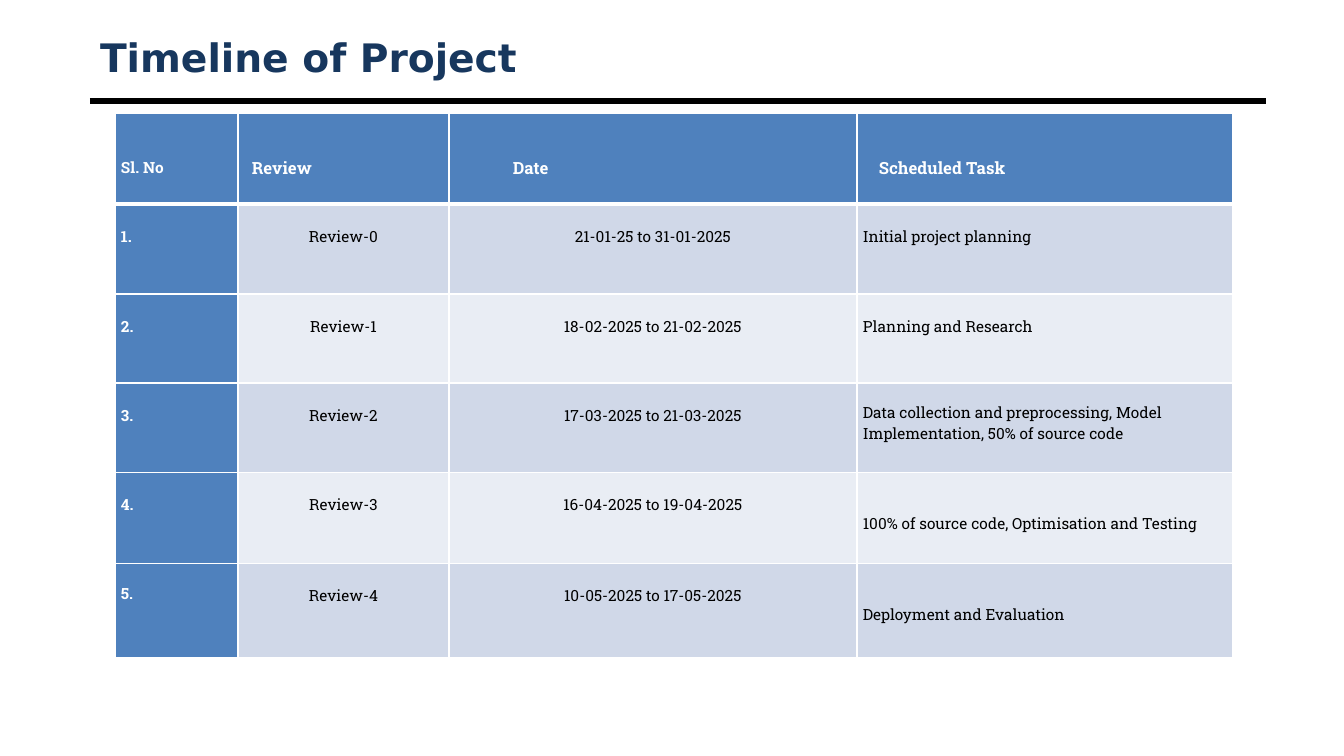
"""Build the project timeline slide with its review schedule table."""
from dataclasses import dataclass

from lxml import etree
from pptx import Presentation
from pptx.dml.color import RGBColor
from pptx.enum.shapes import MSO_CONNECTOR
from pptx.enum.text import MSO_ANCHOR, PP_ALIGN
from pptx.oxml.ns import qn
from pptx.util import Emu, Pt

LEFT, CENTER = PP_ALIGN.LEFT, PP_ALIGN.CENTER
TOP, MIDDLE = MSO_ANCHOR.TOP, MSO_ANCHOR.MIDDLE
STRAIGHT = MSO_CONNECTOR.STRAIGHT
EMU_PER_PX = 914400 / 100.8
TITLE_ONLY = 5
COLORS = {
    "title": "17375E",
    "rule": "000000",
    "text": "000000",
    "head": "4F81BD",
    "odd": "D0D8E8",
    "even": "E9EDF4",
    "white": "FFFFFF",
}
COLUMN_WIDTHS = (123, 211, 408, 376)
ROW_HEIGHTS = (91, 90, 89, 90, 91, 94)
INSET = 6
HEAD_DROP = 44
BODY_DROP = 22


@dataclass(frozen=True)
class Heading:
    text: str
    left: int = INSET
    size: int = 12


@dataclass(frozen=True)
class Review:
    dates: str
    task: str
    task_drop: int = BODY_DROP
    number_drop: int = BODY_DROP


@dataclass(frozen=True)
class CellStyle:
    fill: str
    color: str = "text"
    bold: bool = False
    size: int = 11
    align: PP_ALIGN = LEFT
    left: int = INSET
    drop: int = BODY_DROP
    top_line: int = 1
    bottom_line: int = 1


HEADINGS = (
    Heading("Sl. No", size=11),
    Heading("Review", left=14),
    Heading("Date", left=64),
    Heading("Scheduled Task", left=22),
)
REVIEWS = (
    Review("21-01-25 to 31-01-2025", "Initial project planning"),
    Review("18-02-2025 to 21-02-2025", "Planning and Research"),
    Review(
        "17-03-2025 to 21-03-2025",
        "Data collection and preprocessing, Model Implementation, 50% of source code",
        task_drop=20,
    ),
    Review(
        "16-04-2025 to 19-04-2025",
        "100% of source code, Optimisation and Testing",
        task_drop=41,
    ),
    Review(
        "10-05-2025 to 17-05-2025",
        "Deployment and Evaluation",
        task_drop=41,
        number_drop=20,
    ),
)


def px(length: int) -> Emu:
    """Turn a length in px into EMU."""
    return Emu(round(length * EMU_PER_PX))


def rgb(name: str) -> RGBColor:
    """Look up a named colour."""
    return RGBColor.from_string(COLORS[name])


def format_text(frame, font: str, size: int, color: str, bold: bool, align: PP_ALIGN) -> None:
    """Format every run of a text frame."""
    for para in frame.paragraphs:
        para.alignment = align
        for span in para.runs:
            span.font.name = font
            span.font.size = Pt(size)
            span.font.bold = bold
            span.font.color.rgb = rgb(color)


def add_borders(cell, top: int, bottom: int) -> None:
    """Give a cell white borders with the stated top and bottom widths."""
    properties = cell._tc.get_or_add_tcPr()
    sides = (("a:lnL", 1), ("a:lnR", 1), ("a:lnT", top), ("a:lnB", bottom))
    for position, (tag, width) in enumerate(sides):
        line = etree.Element(qn(tag), w=str(Pt(width)))
        fill = etree.SubElement(line, qn("a:solidFill"))
        etree.SubElement(fill, qn("a:srgbClr"), val=COLORS["white"])
        properties.insert(position, line)


def write_cell(cell, text: str, style: CellStyle) -> None:
    """Fill one table cell with styled text."""
    cell.text_frame.text = text
    format_text(cell.text_frame, "Roboto Slab", style.size, style.color, style.bold, style.align)
    cell.vertical_anchor = TOP
    cell.margin_left, cell.margin_right = px(style.left), px(INSET)
    cell.margin_top, cell.margin_bottom = px(style.drop), 0
    cell.fill.solid()
    cell.fill.fore_color.rgb = rgb(style.fill)
    add_borders(cell, style.top_line, style.bottom_line)


def add_title(page) -> None:
    """Place the title and the rule beneath it."""
    rule = page.shapes.add_connector(STRAIGHT, px(90), px(101), px(1266), px(101))
    rule.line.color.rgb = rgb("rule")
    rule.line.width = Pt(4.5)
    etree.SubElement(rule._element.spPr, qn("a:effectLst"))
    title = page.shapes.title
    title.left, title.top, title.width, title.height = px(90), px(30), px(1176), px(53)
    title.text_frame.text = "Timeline of Project"
    title.text_frame.vertical_anchor = MIDDLE
    format_text(title.text_frame, "DejaVu Sans", 28, "title", True, LEFT)


def add_schedule(page) -> None:
    """Draw the table of reviews."""
    table = page.shapes.add_table(
        len(ROW_HEIGHTS), len(COLUMN_WIDTHS), px(115), px(113),
        px(sum(COLUMN_WIDTHS)), px(sum(ROW_HEIGHTS)),
    ).table
    table.horz_banding = False
    for column, width in zip(table.columns, COLUMN_WIDTHS):
        column.width = px(width)
    for row, height in zip(table.rows, ROW_HEIGHTS):
        row.height = px(height)
    for index, heading in enumerate(HEADINGS):
        style = CellStyle("head", "white", True, heading.size, left=heading.left,
                          drop=HEAD_DROP, bottom_line=3)
        write_cell(table.cell(0, index), heading.text, style)
    for number, review in enumerate(REVIEWS, start=1):
        band = "odd" if number % 2 else "even"
        top_line = 3 if number == 1 else 1
        entries = (
            (f"{number}.", CellStyle("head", "white", True, drop=review.number_drop, top_line=top_line)),
            (f"Review-{number - 1}", CellStyle(band, align=CENTER, top_line=top_line)),
            (review.dates, CellStyle(band, align=CENTER, top_line=top_line)),
            (review.task, CellStyle(band, drop=review.task_drop, top_line=top_line)),
        )
        for index, (text, style) in enumerate(entries):
            write_cell(table.cell(number, index), text, style)


def main() -> None:
    """Build and save the deck."""
    deck = Presentation()
    deck.slide_width, deck.slide_height = px(1344), px(756)
    page = deck.slides.add_slide(deck.slide_layouts[TITLE_ONLY])
    add_title(page)
    add_schedule(page)
    deck.save("out.pptx")


if __name__ == "__main__":
    main()
